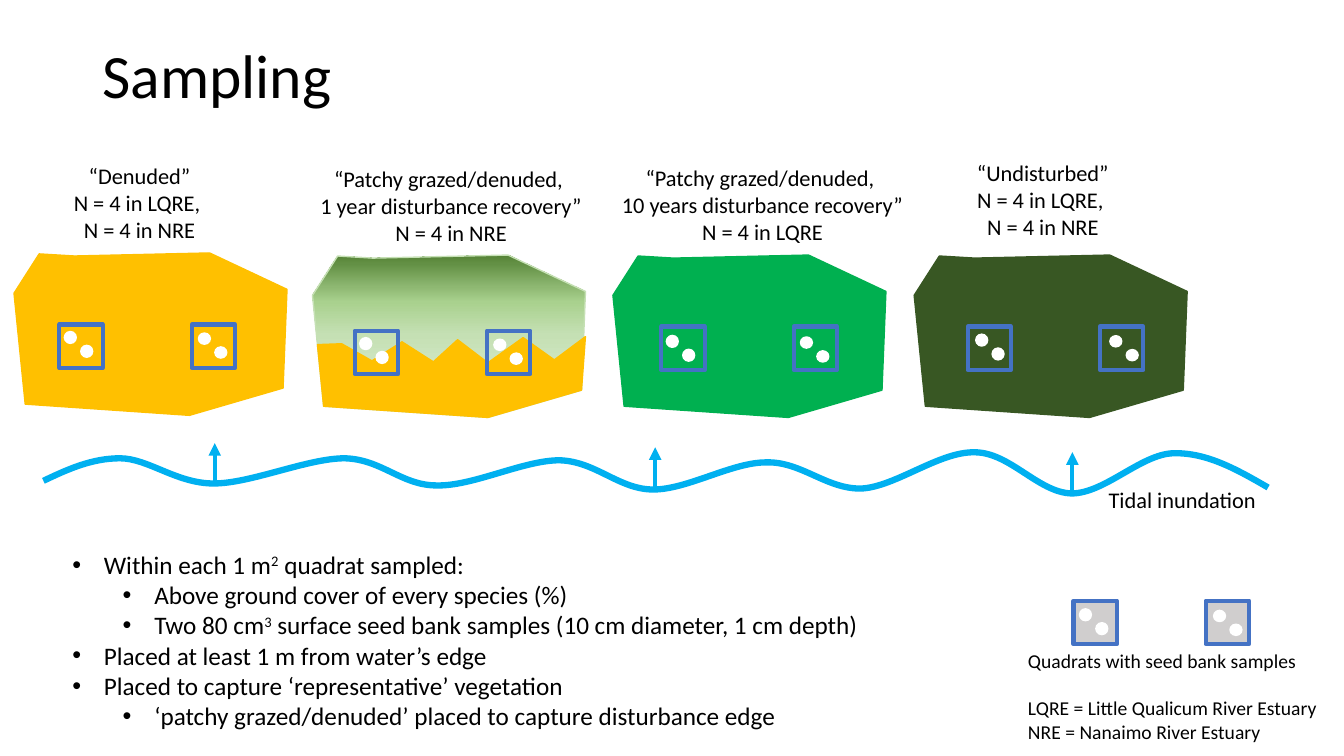
from pptx import Presentation
from pptx import util as u
from pptx.dml.color import RGBColor
from pptx.enum import shapes, text
from pptx.oxml import ns
from lxml import etree

Pt = u.Pt
FONT = "Calibri"
COLOURS = {
    "text": "000000", "water": "00B0F0", "bare": "FFC000", "recovering": "00B050",
    "undisturbed": "385723", "quadrat": "4472C4", "sample": "FFFFFF",
    "legend": "D0CECE", "patchy_edge": "C5E0B4",
}
PATCHY_GRADIENT = [(0, "E2F0D9"), (51, "C5E0B4"), (71, "A9D18E"), (100, "548235")]

# Outlines in points, relative to the left and top of their region
FIELD_OUTLINE = [(18, 0.7), (0, 28.8), (8, 108), (125.3, 116), (192.2, 96.5),
                 (195, 26), (139.7, 0), (43.2, 2.2)]
DENUDED_EDGE = [(195, 58.3), (172.8, 74.9), (150.5, 59), (125.3, 77), (103.7, 60.5),
                (86.4, 76.3), (64, 62), (42.5, 75.6), (20.9, 63.4), (3.6, 64)]
DENUDED_OUTLINE = DENUDED_EDGE + FIELD_OUTLINE[2:5]
# Start point, then two control points and an end point for each swell
TIDE_CURVE = [
    (0, 21), (17.2, 12.8), (34.5, 4.9), (54.7, 4.9),
    (74.8, 4.9), (95, 22.9), (121.6, 22.9), (148.3, 22.9), (188.6, 4.9), (215.2, 4.9),
    (241.9, 5.6), (255.6, 24.3), (280.8, 24.3), (306.7, 25), (342.7, 6.3), (368.6, 6.3),
    (394.5, 7), (411.1, 27.2), (435.6, 27.2), (460, 27.2), (491.7, 7.8), (516.2, 7.8),
    (541.4, 7), (559.4, 27.2), (584.6, 26.5), (609, 25), (640, 0), (665.2, 0.6),
    (690.4, 0.6), (710.6, 29.4), (734.4, 30), (758, 30), (784, 2), (807, 1.3),
    (830.8, 0.6), (852.4, 12.8), (874.8, 25.8)]
TIDE_ARROWS = [(437, 26), (735, 29.5), (122.4, 23)]
ARROW_HEIGHT = 29

QUADRAT_SIZE, QUADRAT_STEP = 31, 94.5
SAMPLE_SIZE, SAMPLE_STEP = 8.5, (11.7, 9.9)
SAMPLE_PAIR_STEP = (95.8, 1.1)


def rgb(name):
    """Return the colour of a part."""
    return RGBColor.from_string(COLOURS[name])


def paint(shape, fill, line, width):
    """Set fill (None for hollow) and line, without shadow."""
    shape.shadow.inherit = False
    if fill:
        shape.fill.solid()
        shape.fill.fore_color.rgb = rgb(fill)
    else:
        shape.fill.background()
    shape.line.color.rgb = rgb(line)
    shape.line.width = Pt(width)


def draw_outline(parent, left, top, points, close=True):
    """Draw a freeform through points relative to left and top."""
    placed = [(Pt(left + x), Pt(top + y)) for x, y in points]
    builder = parent.build_freeform(*placed[0], scale=1.0)
    builder.add_line_segments(placed[1:], close=close)
    return builder.convert_to_shape()


def format_runs(paragraph, size):
    """Give all runs of a paragraph the slide's font."""
    for run in paragraph.runs:
        run.font.name = FONT
        run.font.size = Pt(size)
        run.font.color.rgb = rgb("text")


def add_words(parent, box, words, size, align=text.PP_ALIGN.LEFT):
    """Add unwrapped text in box and return its paragraphs."""
    frame = parent.add_textbox(*map(Pt, box)).text_frame
    frame.word_wrap = False
    frame.auto_size = text.MSO_AUTO_SIZE.SHAPE_TO_FIT_TEXT
    frame.text = words
    for paragraph in frame.paragraphs:
        paragraph.alignment = align
        format_runs(paragraph, size)
    return frame.paragraphs


def add_title(slide, box, words):
    """Place and format the title."""
    title = slide.shapes.title
    title.left, title.top, title.width, title.height = map(Pt, box)
    title.text_frame.text = words
    title.text_frame.vertical_anchor = text.MSO_ANCHOR.TOP
    heading = title.text_frame.paragraphs[0]
    heading.alignment = text.PP_ALIGN.LEFT
    heading.line_spacing = 0.9
    format_runs(heading, 44)


def shade_patchy(field):
    """Shade a field from pale green at the bottom to dark green at the top."""
    field.fill.gradient()
    gradient = field._element.spPr.find(ns.qn("a:gradFill"))
    stops = gradient.find(ns.qn("a:gsLst"))
    for stop in list(stops):
        stops.remove(stop)
    for position, colour in PATCHY_GRADIENT:
        stop = etree.SubElement(stops, ns.qn("a:gs"), pos=str(position * 1000))
        etree.SubElement(stop, ns.qn("a:srgbClr"), val=colour)
    field.fill.gradient_angle = 90


def add_quadrats(parent, left, top, sample_offset, fill=None):
    """Draw two quadrats with two seed bank samples in each."""
    for i in range(2):
        quadrat = parent.add_shape(
            shapes.MSO_SHAPE.RECTANGLE, Pt(left + i * QUADRAT_STEP), Pt(top),
            Pt(QUADRAT_SIZE), Pt(QUADRAT_SIZE))
        paint(quadrat, fill, "quadrat", 3)
        for j in range(2):
            x, y = (offset + i * pair + j * step for offset, pair, step in
                    zip(sample_offset, SAMPLE_PAIR_STEP, SAMPLE_STEP))
            sample = parent.add_shape(
                shapes.MSO_SHAPE.OVAL, Pt(left + x), Pt(top + y),
                Pt(SAMPLE_SIZE), Pt(SAMPLE_SIZE - 0.5 * i))
            paint(sample, "sample", "sample", 1)


def add_field(slide, left, top, colour, quadrat_at, sample_offset):
    """Draw one sampled field; without a colour it is patchy."""
    parts = slide.shapes.add_group_shape().shapes
    field = draw_outline(parts, left, top, FIELD_OUTLINE)
    paint(field, colour, colour or "patchy_edge", 1)
    if not colour:
        shade_patchy(field)
        paint(draw_outline(parts, left, top, DENUDED_OUTLINE), "bare", "bare", 1)
    add_quadrats(parts, left + quadrat_at[0], top + quadrat_at[1], sample_offset)


def add_tide(slide, left, top):
    """Draw the tide line and its arrows towards the fields."""
    parts = slide.shapes.add_group_shape().shapes
    tide = draw_outline(parts, left, top, TIDE_CURVE, close=False)
    paint(tide, None, "water", 4.5)
    segments = list(tide._element.iter(ns.qn("a:lnTo")))
    for trio in zip(*[iter(segments)] * 3):
        curve = etree.Element(ns.qn("a:cubicBezTo"))
        trio[0].addprevious(curve)
        for segment in trio:
            curve.append(segment[0])
            segment.getparent().remove(segment)
    for x, y in TIDE_ARROWS:
        arrow = parts.add_connector(
            shapes.MSO_CONNECTOR.STRAIGHT, Pt(left + x), Pt(top + y),
            Pt(left + x), Pt(top + y - ARROW_HEIGHT))
        arrow.line.color.rgb = rgb("water")
        arrow.line.width = Pt(3)
        etree.SubElement(arrow.line._get_or_add_ln(), ns.qn("a:tailEnd"), type="triangle")
        etree.SubElement(arrow._element.spPr, ns.qn("a:effectLst"))


def add_legend(slide, left, top):
    """Draw the key to quadrats and abbreviations."""
    parts = slide.shapes.add_group_shape().shapes
    add_quadrats(parts, left + 39.6, top, (4.3, 5.8), "legend")
    lines = add_words(parts, (left, top + 31, 223, 75),
                      "Quadrats with seed bank samples \n"
                      "LQRE = Little Qualicum River Estuary\nNRE = Nanaimo River Estuary", 14)
    lines[1].space_before = Pt(17)


def add_method(slide, box, items):
    """Write the bulleted method; ^ surrounds a superscript."""
    lines = add_words(slide.shapes, box, "\n".join(words for _, words in items), 18)
    for paragraph, (level, words) in zip(lines, items):
        paragraph.text = ""
        for i, piece in enumerate(words.split("^")):
            run = paragraph.add_run()
            run.text = piece
            if i % 2:
                run.font._element.set("baseline", "30000")
        format_runs(paragraph, 18)
        paragraph.level = level
        properties = paragraph._p.get_or_add_pPr()
        properties.set("marL", str(Pt(22.5 + 36 * level)))
        properties.set("indent", str(-Pt(22.5)))
        etree.SubElement(properties, ns.qn("a:buFont"), typeface="Arial")
        etree.SubElement(properties, ns.qn("a:buChar"), char="•")


def build():
    """Build the sampling slide."""
    deck = Presentation()
    deck.slide_width, deck.slide_height = Pt(960), Pt(540)
    slide = deck.slides.add_slide(deck.slide_layouts[5])
    add_title(slide, (66, 28.75, 828, 104.4), "Sampling")
    add_words(slide.shapes, (784.8, 343.4, 121, 26.6), "Tidal inundation", 16)
    add_tide(slide, 31, 322.5)
    both_sites = "N = 4 in LQRE, \nN = 4 in NRE"
    patchy = "“Patchy grazed/denuded, \n"
    fields = [
        (10, 180.7, "bare", (32.4, 51.1), (3.6, 5),
         (44.6, 112.3, 110.2, 67.7), "“Denuded”\n" + both_sites),
        (223.2, 182.2, None, (30.2, 54), (3.6, 5),
         (220.3, 114.5, 203.8, 65.5), patchy + "1 year disturbance recovery”\nN = 4 in NRE"),
        (437.8, 182.2, "recovering", (34.6, 51.1), (3.6, 6.3),
         (435.6, 113.8, 218.2, 65.5), patchy + "10 years disturbance recovery”\nN = 4 in LQRE"),
        (653, 182.2, "undisturbed", (38.2, 51.1), (5.8, 5.4),
         (689.8, 110.2, 110.2, 67.7), "“Undisturbed”\n" + both_sites)]
    for *field, label_box, label in fields:
        add_field(slide, *field)
        add_words(slide.shapes, label_box, label, 16, text.PP_ALIGN.CENTER)
    add_legend(slide, 727.2, 429.1)
    add_method(slide, (44.6, 388.8, 577.4, 159.8), [
        (0, "Within each 1 m^2^ quadrat sampled:"),
        (1, "Above ground cover of every species (%)"),
        (1, "Two 80 cm^3^ surface seed bank samples (10 cm diameter, 1 cm depth)"),
        (0, "Placed at least 1 m from water’s edge"),
        (0, "Placed to capture ‘representative’ vegetation "),
        (1, "‘patchy grazed/denuded’ placed to capture disturbance edge ")])
    deck.save("out.pptx")


build()
